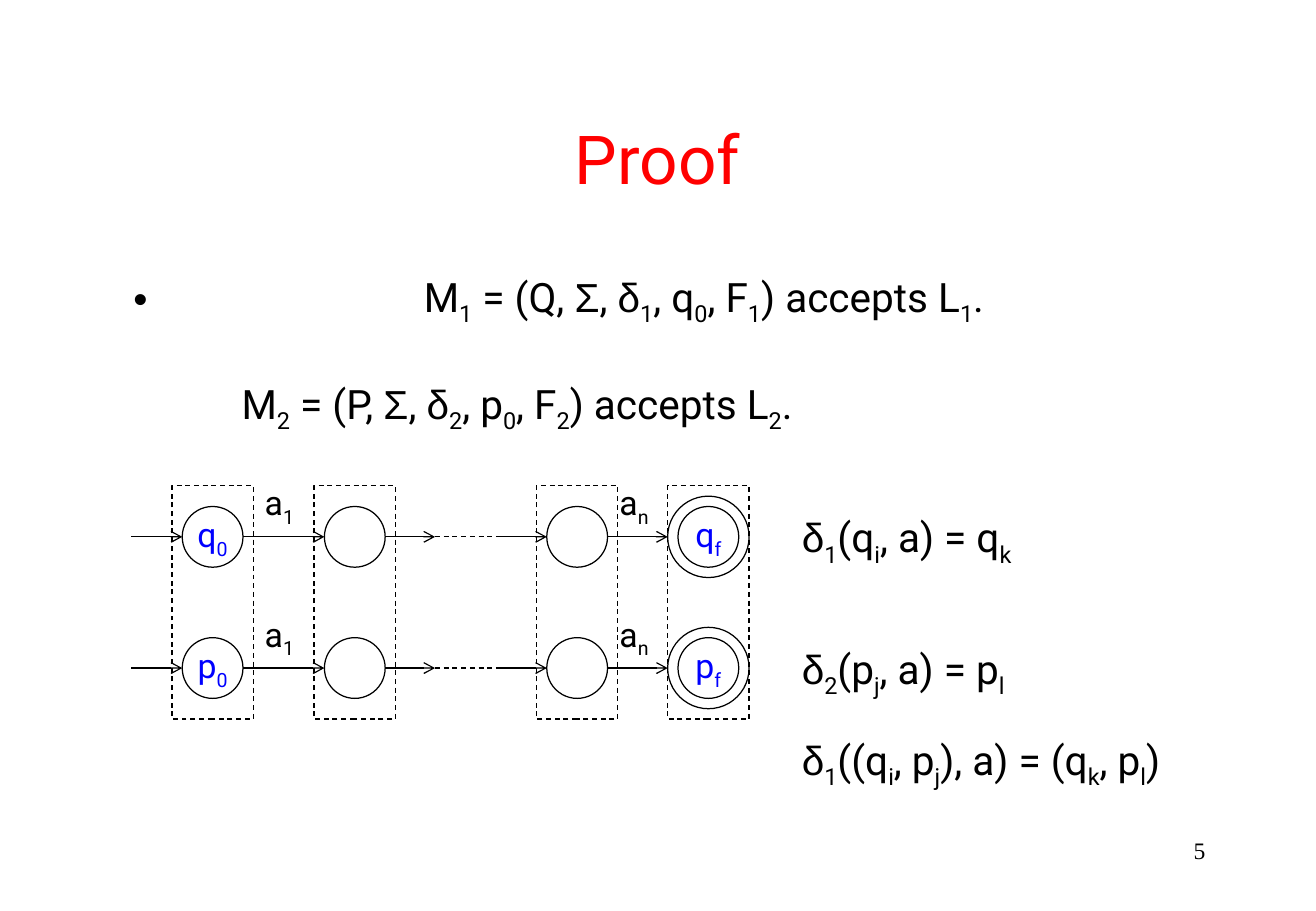
from itertools import groupby

from lxml import etree
from pptx import Presentation
from pptx.dml.color import RGBColor
from pptx.enum.dml import MSO_LINE
from pptx.enum.shapes import MSO_CONNECTOR, MSO_SHAPE
from pptx.enum.text import MSO_ANCHOR, PP_ALIGN
from pptx.oxml.ns import qn
from pptx.util import Inches, Pt

BLACK = RGBColor(0, 0, 0)
RED = RGBColor(255, 0, 0)
BLUE = RGBColor(0, 0, 255)
GREEK = "Σδ"
LINE_WIDTH = Pt(0.74)

STATE_SIZE = 0.5
FRAME_WIDTH = 0.67
FIRST, SECOND, BEFORE_LAST, LAST = STATE_CENTERS = (1.75, 2.92, 4.75, 5.83)
ROWS = (("q", 4.42), ("p", 5.5))
FORMULAS = (
    (4.17, "δ_1(q_i, a) = q_k"),
    (5.25, "δ_2(p_j, a) = p_l"),
    (6, "δ_1((q_i, p_j), a) = (q_k, p_l)"),
)


def add_runs(paragraph, text, size, color=BLACK, font="Roboto"):
    """Add text to a paragraph; an underscore lowers the next character."""
    start, *rest = text.split("_")
    pieces = [(start, False)]
    for part in rest:
        pieces += [(part[0], True), (part[1:], False)]
    for piece, lowered in pieces:
        for is_greek, letters in groupby(piece, lambda letter: letter in GREEK):
            run = paragraph.add_run()
            run.text = "".join(letters)
            run.font.size = Pt(size)
            run.font.name = "Arial" if is_greek else font
            run.font.color.rgb = color
            if lowered:
                run._r.get_or_add_rPr().set("baseline", "-25000")


def add_text(slide, left, top, width, height, text, size, color=BLACK,
             font="Roboto", align=PP_ALIGN.LEFT, anchor=MSO_ANCHOR.TOP):
    """Add a one-paragraph text box."""
    box = slide.shapes.add_textbox(
        Inches(left), Inches(top), Inches(width), Inches(height))
    frame = box.text_frame
    frame.word_wrap = True
    frame.vertical_anchor = anchor
    paragraph = frame.paragraphs[0]
    paragraph.alignment = align
    add_runs(paragraph, text, size, color, font)
    return frame


def indent(paragraph, margin, first_line=0, bullet=None):
    """Set a paragraph's left margin, first line offset and bullet."""
    properties = paragraph._p.get_or_add_pPr()
    properties.set("marL", str(Inches(margin)))
    properties.set("indent", str(Inches(first_line)))
    if bullet:
        etree.SubElement(properties, qn("a:buFont")).set("typeface", "Arial")
        etree.SubElement(properties, qn("a:buChar")).set("char", bullet)


def add_statements(slide):
    """Add the two statements about the machines."""
    frame = add_text(slide, 0.92, 2.19, 9, 1.5,
                     "M_1 = (Q, Σ, δ_1, q_0, F_1) accepts L_1.", 24)
    first = frame.paragraphs[0]
    first.space_after = Pt(15)
    indent(first, 2.47, -2.39, "•")
    second = frame.add_paragraph()
    second.space_before = Pt(15.5)
    indent(second, 0.97)
    add_runs(second, "M_2 = (P, Σ, δ_2, p_0, F_2) accepts L_2.", 24)


def add_outline(slide, kind, center_x, center_y, width, height, dashed=False):
    """Add an unfilled shape around a center point."""
    shape = slide.shapes.add_shape(
        kind, Inches(center_x - width / 2), Inches(center_y - height / 2),
        Inches(width), Inches(height))
    shape.shadow.inherit = False
    shape.fill.background()
    shape.line.color.rgb = BLACK
    shape.line.width = LINE_WIDTH
    if dashed:
        shape.line.dash_style = MSO_LINE.DASH
    return shape


def add_state(slide, center_x, center_y, name=None):
    """Add a state circle, with its name if it has one."""
    circle = add_outline(slide, MSO_SHAPE.OVAL, center_x, center_y,
                         STATE_SIZE, STATE_SIZE)
    if name:
        frame = circle.text_frame
        frame.word_wrap = False
        frame.vertical_anchor = MSO_ANCHOR.MIDDLE
        paragraph = frame.paragraphs[0]
        paragraph.alignment = PP_ALIGN.CENTER
        add_runs(paragraph, name, 20, BLUE)


def add_line(slide, start_x, end_x, y, dashed=False):
    """Add a horizontal arrow, or a dashed line without a head."""
    line = slide.shapes.add_connector(
        MSO_CONNECTOR.STRAIGHT, Inches(start_x), Inches(y), Inches(end_x), Inches(y))
    line.line.color.rgb = BLACK
    line.line.width = LINE_WIDTH
    if dashed:
        line.line.dash_style = MSO_LINE.DASH
    else:
        outline = line.line._get_or_add_ln()
        etree.SubElement(outline, qn("a:tailEnd")).set("type", "arrow")
    etree.SubElement(line._element.spPr, qn("a:effectLst"))


def add_run_of_machine(slide, letter, y):
    """Add one row of states, transitions and input symbols."""
    radius = STATE_SIZE / 2
    names = (f"{letter}_0", None, None, f"{letter}_f")
    for center_x, name in zip(STATE_CENTERS, names):
        add_state(slide, center_x, y, name)
    add_outline(slide, MSO_SHAPE.OVAL, LAST, y, FRAME_WIDTH, FRAME_WIDTH)

    gap_start, gap_end = 3.58, 4.08
    arrows = (
        (1.08, FIRST - radius),
        (FIRST + radius, SECOND - radius),
        (SECOND + radius, gap_start),
        (gap_end, BEFORE_LAST - radius),
        (BEFORE_LAST + radius, LAST - FRAME_WIDTH / 2),
    )
    for start_x, end_x in arrows:
        add_line(slide, start_x, end_x, y)
    add_line(slide, gap_start, gap_end, y, dashed=True)

    for left, symbol in ((2.08, "a_1"), (5, "a_n")):
        add_text(slide, left, y - 0.5, 0.5, 0.48, symbol, 20)


def main():
    """Build the slide and save it."""
    presentation = Presentation()
    presentation.slide_width = Inches(10.83)
    presentation.slide_height = Inches(7.5)
    slide = presentation.slides.add_slide(presentation.slide_layouts[6])

    add_text(slide, 0.81, 0.67, 9.2, 1.25, "Proof", 40, RED,
             align=PP_ALIGN.CENTER, anchor=MSO_ANCHOR.MIDDLE)
    add_statements(slide)
    for letter, y in ROWS:
        add_run_of_machine(slide, letter, y)
    for center_x in STATE_CENTERS:
        add_outline(slide, MSO_SHAPE.RECTANGLE, center_x, 4.96,
                    FRAME_WIDTH, 1.92, dashed=True)
    for top, formula in FORMULAS:
        add_text(slide, 6.5, top, 3.83, 0.56, formula, 24)
    add_text(slide, 7.76, 6.83, 2.26, 0.5, "5", 14,
             font="Times New Roman", align=PP_ALIGN.RIGHT)

    presentation.save("out.pptx")


main()
